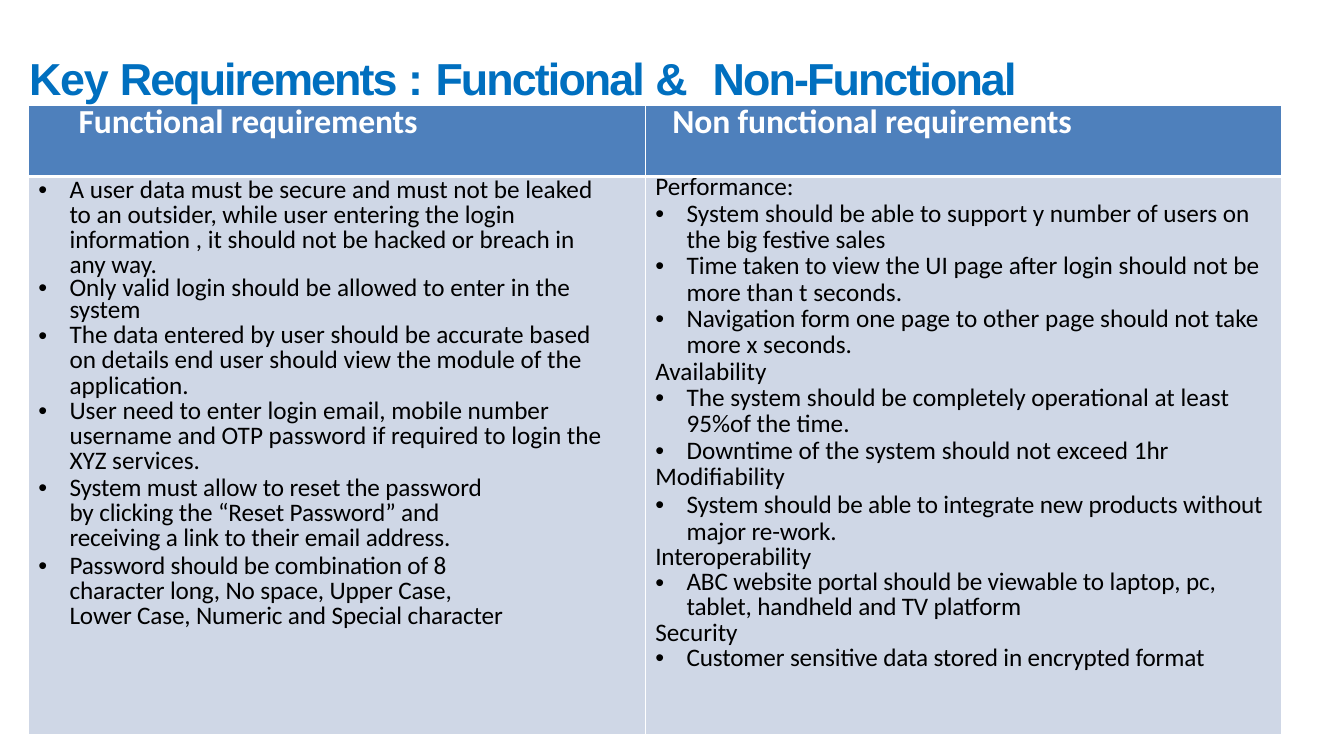
from dataclasses import dataclass

from lxml.etree import SubElement
from pptx import Presentation
from pptx.dml.color import RGBColor
from pptx.enum.text import MSO_ANCHOR, PP_ALIGN
from pptx.oxml.ns import qn
from pptx.util import Inches, Pt


@dataclass(frozen=True)
class Theme:
    """Colours, fonts and type sizes of the slide."""
    title: str = "006FBF"
    head: str = "4E80BC"
    body: str = "CFD7E6"
    white: str = "FFFFFF"
    black: str = "000000"
    sans: str = "Arial"
    text: str = "Calibri"
    big: int = 32
    mid: int = 24
    small: int = 18


THEME = Theme()

TITLE = [("Key ", -1), ("Requirements ", -1.4), (": ", 0), ("Functional ", -1.4),
         ("&", 0), (" ", 8.9), ("Non-Functional", -1.4)]

HEADS = [("Functional requirements", 0.5), ("Non functional requirements", 0.27)]

NEEDS = [
    ("A user data must be secure and must not be leaked to an outsider, while user entering "
     "the login information , it should not be hacked or breach in any way.", 17.9, 2.6, 0.39, True, 0),
    ("Only valid login should be allowed to enter in the system", 16.1, 0, 0.39, True, 0),
    ("The data entered by user should be accurate based on details end user should view "
     "the module of the application.", 17.9, 0, 0.39, True, 0),
    ("User need to enter login email, mobile number username and OTP password if required "
     "to login the XYZ services.", 17.9, 0, 0.39, True, 0),
    ("System must allow to reset the password by clicking the “Reset Password” and "
     "receiving a link to their email address.", 17.8, 1.9, 1.38, True, -0.1),
    ("Password should be combination of 8 character long, No space, Upper Case, Lower Case, "
     "Numeric and Special character", 17.8, 1.9, 1.38, True, -0.1),
]

TRAITS = [
    ("Performance:", 18.8, 0, 0, False, 0),
    ("System should be able to support y number of users on the big festive sales",
     18.8, 0, 0, True, 0),
    ("Time taken to view the UI page after login should not be more than t seconds.",
     18.8, 0, 0, True, 0),
    ("Navigation form one page to other page should not take more x seconds.",
     18.8, 0, 0, True, 0),
    ("Availability", 18.8, 0, 0, False, 0),
    ("The system should be completely operational at least 95%of the time.",
     18.8, 0, 0, True, 0),
    ("Downtime of the system should not exceed 1hr", 18.8, 0, 0, True, 0),
    ("Modifiability", 18.8, 0, 0, False, 0),
    ("System should be able to integrate new products without major re-work.",
     19.8, 0, 0, True, -0.1),
    ("Interoperability", 17.9, 0, 0, False, -0.1),
    ("ABC website portal should be viewable to laptop, pc, tablet, handheld and TV platform",
     17.9, 0, 0, True, -0.1),
    ("Security", 17.9, 0, 0, False, 0),
    ("Customer sensitive data stored in encrypted format", 17.9, 0, 0, True, -0.1),
]


def write(para, text, size=THEME.small, font=THEME.text, color=THEME.black, bold=False,
          track=0, left=0, hang=0, right=0, pitch=None, before=0, bullet=False):
    """Add a formatted run to a paragraph and set the paragraph's layout."""
    para.alignment = PP_ALIGN.LEFT
    props = para._p.get_or_add_pPr()
    for key, val in (("marL", left), ("indent", -hang), ("marR", right)):
        props.set(key, str(Inches(val)))
    if bullet:
        SubElement(props, qn("a:buFont"), typeface=THEME.sans)
        SubElement(props, qn("a:buChar"), char="•")
    if pitch:
        para.line_spacing = Pt(pitch)
    para.space_before = Pt(before)
    run = para.add_run()
    run.text = text
    face = run.font
    face.name, face.size, face.bold = font, Pt(size), bold
    face.color.rgb = RGBColor.from_string(color)
    run._r.get_or_add_rPr().set("spc", str(round(track * 100)))


def paint(cell, fill, top, inset=0):
    """Set a cell's margins, borders and fill."""
    cell.margin_left = cell.margin_right = cell.margin_bottom = 0
    cell.margin_top = Inches(inset)
    props = cell._tc.get_or_add_tcPr()
    for side, width in (("L", 1), ("R", 1), ("T", top), ("B", 3)):
        line = SubElement(props, qn(f"a:ln{side}"), w=str(Pt(width)))
        SubElement(SubElement(line, qn("a:solidFill")), qn("a:srgbClr"), val=THEME.white)
    cell.fill.solid()
    cell.fill.fore_color.rgb = RGBColor.from_string(fill)


def fill_list(cell, items):
    """Write a column's items into its body cell."""
    frame = cell.text_frame
    for i, (text, pitch, before, right, bullet, track) in enumerate(items):
        para = frame.add_paragraph() if i else frame.paragraphs[0]
        write(para, text, track=track, left=0.41 if bullet else 0.1,
              hang=0.31 if bullet else 0, right=right, pitch=pitch,
              before=before if i else 0, bullet=bullet)


def add_title(slide, x, y, w, h):
    """Place and format the title in its box."""
    title = slide.shapes.title
    title.left, title.top, title.width, title.height = map(Inches, (x, y, w, h))
    frame = title.text_frame
    frame.margin_left = frame.margin_right = frame.margin_bottom = 0
    frame.margin_top = Inches(0.01)
    frame.vertical_anchor = MSO_ANCHOR.MIDDLE
    frame.word_wrap = True
    for text, track in TITLE:
        write(frame.paragraphs[0], text, size=THEME.big, font=THEME.sans,
              color=THEME.title, bold=True, track=track, left=0.01)


def add_grid(slide, x, y, w, h):
    """Place the two-column requirements table in its box."""
    grid = slide.shapes.add_table(2, 2, *map(Inches, (x, y, w, h))).table
    first, top = 6.12, 0.7
    for col, width in zip(grid.columns, (first, w - first)):
        col.width = Inches(width)
    for row, height in zip(grid.rows, (top, h - top)):
        row.height = Inches(height)
    for i, (text, left) in enumerate(HEADS):
        cell = grid.cell(0, i)
        paint(cell, THEME.head, 1)
        write(cell.text_frame.paragraphs[0], text, size=THEME.mid, color=THEME.white,
              bold=True, track=-0.1, left=left, pitch=26.4)
    for i, (items, inset) in enumerate(((NEEDS, 0.04), (TRAITS, 0))):
        cell = grid.cell(1, i)
        paint(cell, THEME.body, 3, inset)
        fill_list(cell, items)


def main():
    """Build the slide and save it."""
    deck = Presentation()
    deck.slide_width, deck.slide_height = Inches(13.33), Inches(7.5)
    slide = deck.slides.add_slide(deck.slide_layouts[5])
    add_grid(slide, 0.28, 1.05, 12.43, 6.25)
    add_title(slide, 0.28, 0.49, 11.94, 0.55)
    deck.save("out.pptx")


if __name__ == "__main__":
    main()
